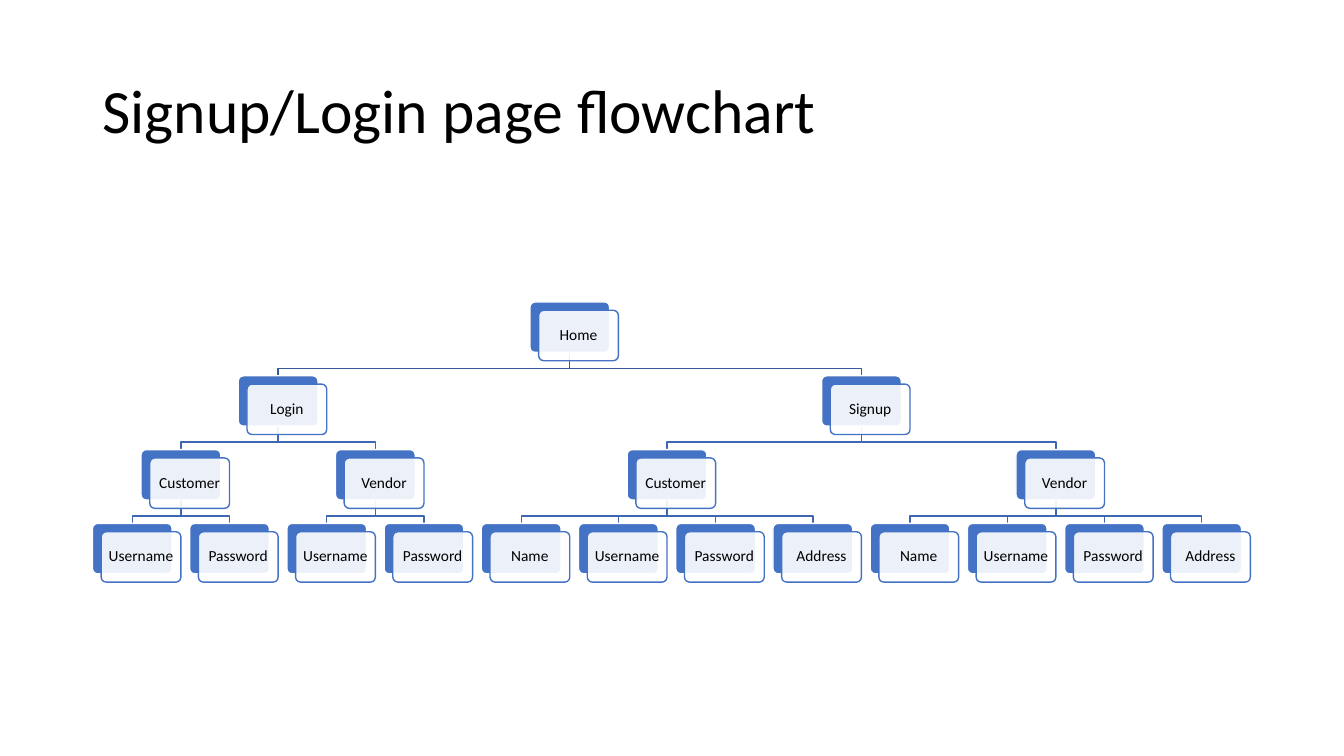
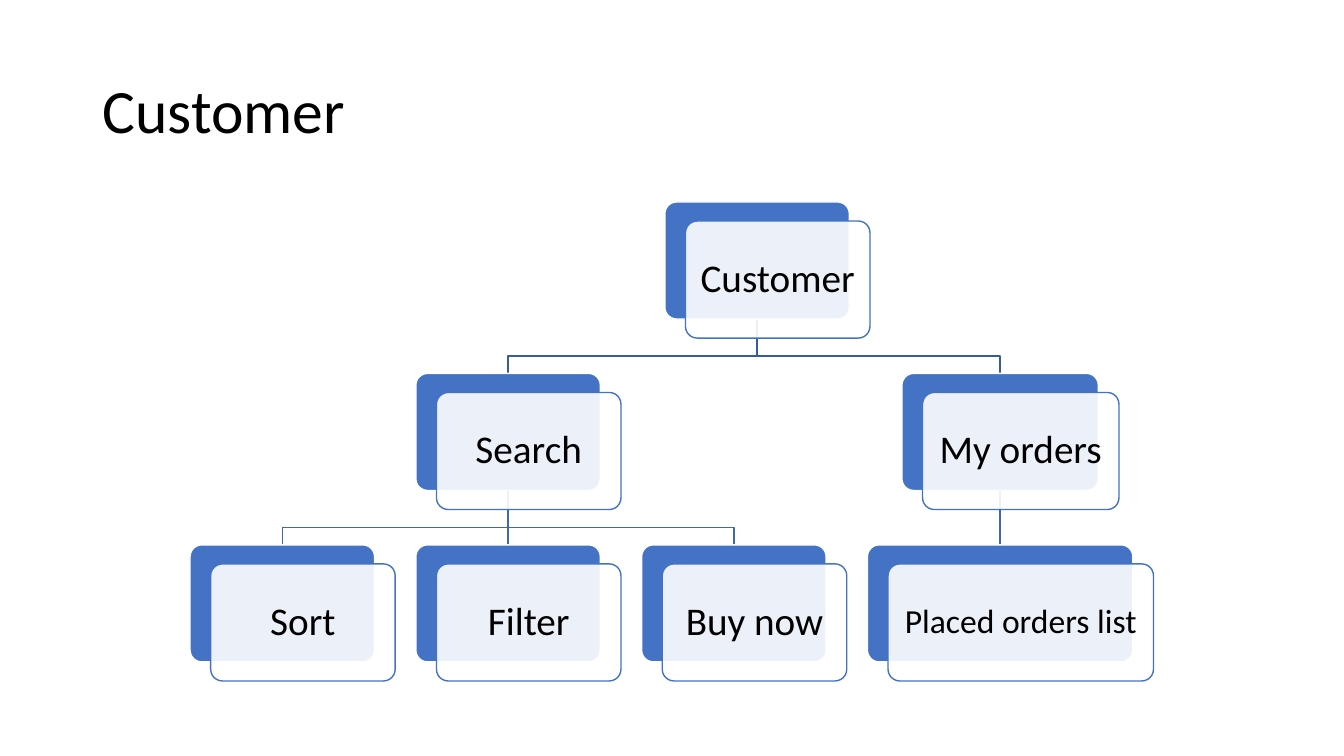
from dataclasses import dataclass, field

from lxml import etree
from pptx import Presentation
from pptx.dml.color import RGBColor
from pptx.enum import shapes, text
from pptx.oxml import ns
from pptx.util import Cm, Pt

LOGIN_FIELDS = {"Username": {}, "Password": {}}
SIGNUP_FIELDS = {"Name": {}, "Username": {}, "Password": {}, "Address": {}}

# Lengths in centimetres; "wide" and "small" list labels that differ from the rest.
CHARTS = [
    {
        "title": "Signup/Login page flowchart",
        "tree": {"Home": {
            "Login": {"Customer": LOGIN_FIELDS, "Vendor": LOGIN_FIELDS},
            "Signup": {"Customer": SIGNUP_FIELDS, "Vendor": SIGNUP_FIELDS},
        }},
        "left": 2.33, "top": 7.61, "width": 2.01, "height": 1.27, "level": 1.86,
        "shift": (0.22, 0.21), "inset": 0.12, "size": 11, "wide": {}, "small": {},
    },
    {
        "title": "Customer",
        "tree": {"Customer": {
            "Search": {"Sort": {}, "Filter": {}, "Buy now": {}},
            "My orders": {"Placed orders list": {}},
        }},
        "left": 4.79, "top": 5.09, "width": 4.65, "height": 2.95, "level": 4.32,
        "shift": (0.52, 0.48), "inset": 0.3, "size": 28,
        "wide": {"My orders": 4.95, "Placed orders list": 6.69},
        "small": {"Placed orders list": 24},
    },
]

FONT = "Calibri"
BLACK = RGBColor(0x00, 0x00, 0x00)
WHITE = RGBColor(0xFF, 0xFF, 0xFF)
BLUE = RGBColor(0x44, 0x72, 0xC4)
ROOT_LINK = RGBColor(0x36, 0x5B, 0x9D)
LINK = RGBColor(0x3E, 0x67, 0xB2)
LINE_WIDTH = Pt(1)
CORNER = 0.1
FRONT_OPACITY = 90
BEND = 0.68  # share of the drop between two levels at which a link turns


@dataclass
class Node:
    label: str
    left: float
    top: float
    width: float
    children: list = field(default_factory=list)

    @property
    def right(self):
        return self.left + self.width

    @property
    def centre(self):
        return self.left + self.width / 2


def lay_out(label, branches, chart, depth=0, cursor=None):
    """Put leaves side by side and centre each parent over its children."""
    cursor = cursor or {"x": chart["left"]}
    children = [lay_out(name, below, chart, depth + 1, cursor)
                for name, below in branches.items()]
    width = chart["wide"].get(label, chart["width"])
    if children:
        left = (children[0].left + children[-1].right - width) / 2
    else:
        left = cursor["x"]
        cursor["x"] += width + 2 * chart["shift"][0]
    return Node(label, left, chart["top"] + depth * chart["level"], width, children)


def walk(node):
    yield node
    for child in node.children:
        yield from walk(child)


def format_text(frame, size, align):
    frame.vertical_anchor = text.MSO_ANCHOR.MIDDLE
    frame.auto_size = text.MSO_AUTO_SIZE.NONE
    para = frame.paragraphs[0]
    para.alignment = align
    para.line_spacing = 0.9
    for span in para.runs:
        span.font.name = FONT
        span.font.size = Pt(size)
        span.font.color.rgb = BLACK


def add_title(page, title):
    box = page.shapes.title
    box.left, box.top, box.width, box.height = Cm(2.33), Cm(1.01), Cm(29.21), Cm(3.68)
    box.text_frame.text = title
    format_text(box.text_frame, 44, text.PP_ALIGN.LEFT)


def add_link(page, parent, child, height, colour):
    start = parent.top + height
    if abs(parent.centre - child.centre) < 0.01:
        link = page.shapes.add_connector(
            shapes.MSO_CONNECTOR.STRAIGHT,
            Cm(parent.centre), Cm(start), Cm(parent.centre), Cm(child.top))
        etree.SubElement(link._element.spPr, ns.qn("a:effectLst"))
    else:
        turn = start + BEND * (child.top - start)
        outline = page.shapes.build_freeform(Cm(parent.centre), Cm(start))
        corners = [(parent.centre, turn), (child.centre, turn), (child.centre, child.top)]
        outline.add_line_segments([(Cm(x), Cm(y)) for x, y in corners], close=False)
        link = outline.convert_to_shape()
        link.shadow.inherit = False
        link.fill.background()
    link.line.color.rgb = colour
    link.line.width = LINE_WIDTH


def add_card(page, left, top, width, height, fill, line):
    card = page.shapes.add_shape(
        shapes.MSO_SHAPE.ROUNDED_RECTANGLE, Cm(left), Cm(top), Cm(width), Cm(height))
    card.adjustments[0] = CORNER
    card.shadow.inherit = False
    card.fill.solid()
    card.fill.fore_color.rgb = fill
    card.line.color.rgb = line
    card.line.width = LINE_WIDTH
    return card


def set_opacity(shape, percent):
    colour = shape._element.spPr.find(ns.qn("a:solidFill")).find(ns.qn("a:srgbClr"))
    etree.SubElement(colour, ns.qn("a:alpha")).set("val", str(percent * 1000))


def add_node(page, node, chart):
    """Draw a blue card with a translucent, labelled card shifted in front."""
    height = chart["height"]
    shift_x, shift_y = chart["shift"]
    add_card(page, node.left, node.top, node.width, height, BLUE, WHITE)
    front = add_card(page, node.left + shift_x, node.top + shift_y,
                     node.width, height, WHITE, BLUE)
    set_opacity(front, FRONT_OPACITY)
    frame = front.text_frame
    frame.text = node.label
    frame.word_wrap = False
    frame.margin_left = frame.margin_right = Cm(chart["inset"])
    frame.margin_top = frame.margin_bottom = Cm(chart["inset"])
    size = chart["small"].get(node.label, chart["size"])
    format_text(frame, size, text.PP_ALIGN.CENTER)


def add_chart_page(deck, chart):
    page = deck.slides.add_slide(deck.slide_layouts.get_by_name("Title Only"))
    add_title(page, chart["title"])
    (label, branches), = chart["tree"].items()
    root = lay_out(label, branches, chart)
    for node in walk(root):
        for child in node.children:
            add_link(page, node, child, chart["height"],
                     ROOT_LINK if node is root else LINK)
    for node in walk(root):
        add_node(page, node, chart)


def main():
    deck = Presentation()
    deck.slide_width, deck.slide_height = Cm(33.87), Cm(19.05)
    for chart in CHARTS:
        add_chart_page(deck, chart)
    deck.save("out.pptx")


if __name__ == "__main__":
    main()
